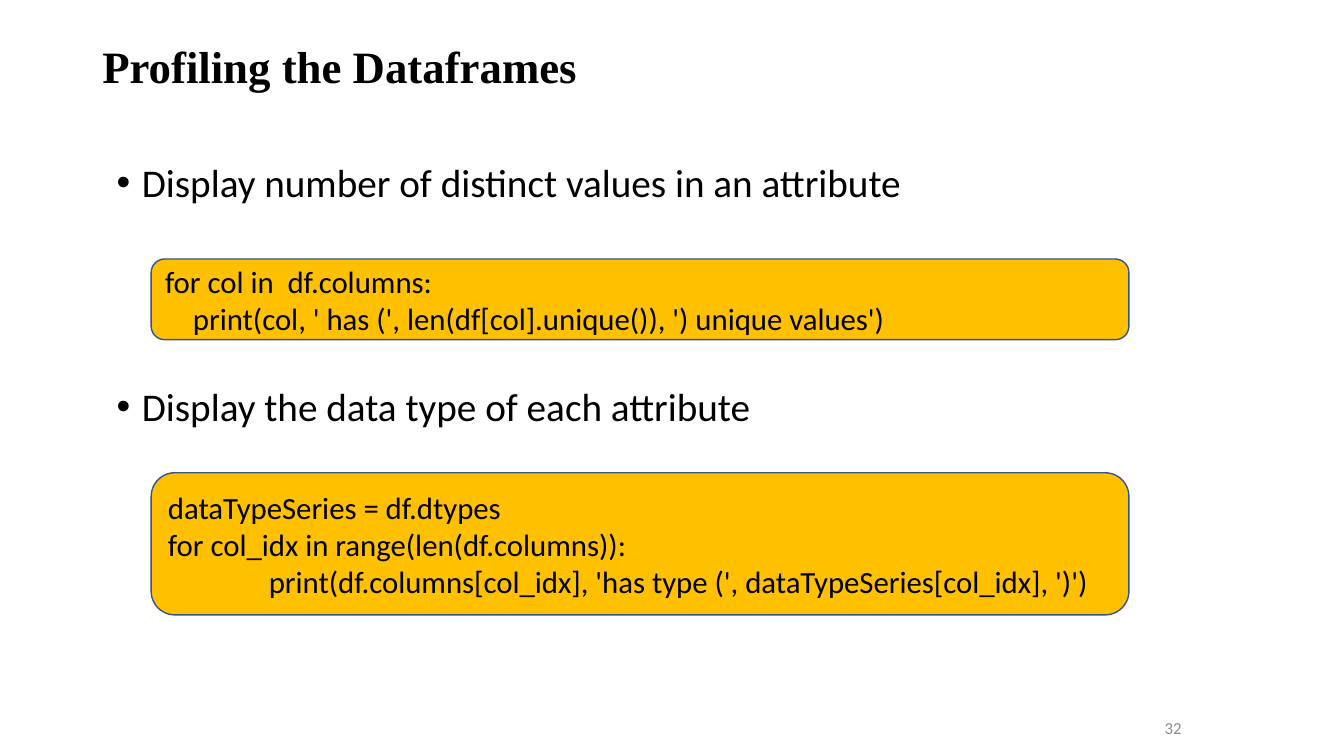
import dataclasses
import pptx
import pptx.dml.color
import pptx.enum.shapes
import pptx.enum.text
import pptx.oxml.ns
import pptx.util

BLACK = pptx.dml.color.RGBColor(0x00, 0x00, 0x00)
GOLD = pptx.dml.color.RGBColor(0xFF, 0xC0, 0x00)
NAVY = pptx.dml.color.RGBColor(0x32, 0x54, 0x91)
GREY = pptx.dml.color.RGBColor(0x8C, 0x8C, 0x8C)
WHITE = pptx.dml.color.RGBColor(0xFF, 0xFF, 0xFF)
LEFT = pptx.enum.text.PP_ALIGN.LEFT
RIGHT = pptx.enum.text.PP_ALIGN.RIGHT
TOP = pptx.enum.text.MSO_ANCHOR.TOP
MIDDLE = pptx.enum.text.MSO_ANCHOR.MIDDLE

COLS, ROWS = 160, 90
CELL = pptx.util.Inches(1) // 12


@dataclasses.dataclass(frozen=True)
class Style:
    size: int
    font: str = "Calibri"
    color: pptx.dml.color.RGBColor = BLACK
    bold: bool = False
    align: pptx.enum.text.PP_ALIGN = LEFT
    anchor: pptx.enum.text.MSO_ANCHOR = TOP
    spacing: float = 1.0


@dataclasses.dataclass(frozen=True)
class Line:
    text: str
    indent: float = 0
    before: int = 0
    bullet: bool = False


@dataclasses.dataclass(frozen=True)
class Block:
    col: float
    row: float
    wide: float
    high: float
    style: Style
    lines: tuple[Line, ...]
    panel: bool = False


TITLE = Style(32, "Times New Roman", bold=True, spacing=0.9)
POINT = Style(28, spacing=0.9)
CODE = Style(22, anchor=MIDDLE)
NUMBER = Style(12, color=GREY, align=RIGHT, anchor=MIDDLE)

BLOCKS = (
    Block(11, 4.8, 138, 12, TITLE, (Line("Profiling the Dataframes"),)),
    Block(12.72, 18.84, 138, 65.76, POINT, (
        Line("Display number of distinct values in an attribute", 3, 10, True),
        Line("Display the data type of each attribute", 3, 130, True),
    )),
    Block(18, 30.84, 116.4, 9.6, CODE, (
        Line("for col in  df.columns:"),
        Line("print(col, ' has (', len(df[col].unique()), ') unique values')", 3.32),
    ), True),
    Block(18, 56.28, 116.4, 16.92, CODE, (
        Line("dataTypeSeries = df.dtypes"),
        Line("for col_idx in range(len(df.columns)):"),
        Line("print(df.columns[col_idx], 'has type (', dataTypeSeries[col_idx], ')')", 12),
    ), True),
    Block(105.84, 84.24, 36, 4.8, NUMBER, (Line("32"),)),
)


def cells(count: float) -> int:
    return round(count * CELL)


def write(frame: pptx.text.text.TextFrame, block: Block) -> None:
    style = block.style
    frame.word_wrap = True
    frame.vertical_anchor = style.anchor
    for index, line in enumerate(block.lines):
        para = frame.add_paragraph() if index else frame.paragraphs[0]
        para.alignment = style.align
        para.line_spacing = style.spacing
        para.space_before = pptx.util.Pt(line.before)
        props = para._p.get_or_add_pPr()
        props.set("marL", str(cells(line.indent)))
        if line.bullet:
            props.set("indent", str(-cells(line.indent)))
            font = pptx.oxml.ns.qn("a:buFont")
            props.makeelement(font)
            face = props.makeelement(font, {"typeface": "Arial"})
            mark = props.makeelement(pptx.oxml.ns.qn("a:buChar"), {"char": "•"})
            props.extend((face, mark))
        run = para.add_run()
        run.text = line.text
        run.font.name = style.font
        run.font.size = pptx.util.Pt(style.size)
        run.font.bold = style.bold
        run.font.color.rgb = style.color


def draw(slide: pptx.slide.Slide, block: Block) -> None:
    place = [cells(n) for n in (block.col, block.row, block.wide, block.high)]
    if block.panel:
        kind = pptx.enum.shapes.MSO_SHAPE.ROUNDED_RECTANGLE
        shape = slide.shapes.add_shape(kind, *place)
        shape.shadow.inherit = False
        shape.fill.solid()
        shape.fill.fore_color.rgb = GOLD
        shape.line.color.rgb = NAVY
        shape.line.width = pptx.util.Pt(1)
    else:
        shape = slide.shapes.add_textbox(*place)
    write(shape.text_frame, block)


def main() -> None:
    deck = pptx.Presentation()
    deck.slide_width = cells(COLS)
    deck.slide_height = cells(ROWS)
    slide = deck.slides.add_slide(deck.slide_layouts[6])
    slide.background.fill.solid()
    slide.background.fill.fore_color.rgb = WHITE
    for block in BLOCKS:
        draw(slide, block)
    deck.save("out.pptx")


if __name__ == "__main__":
    main()
